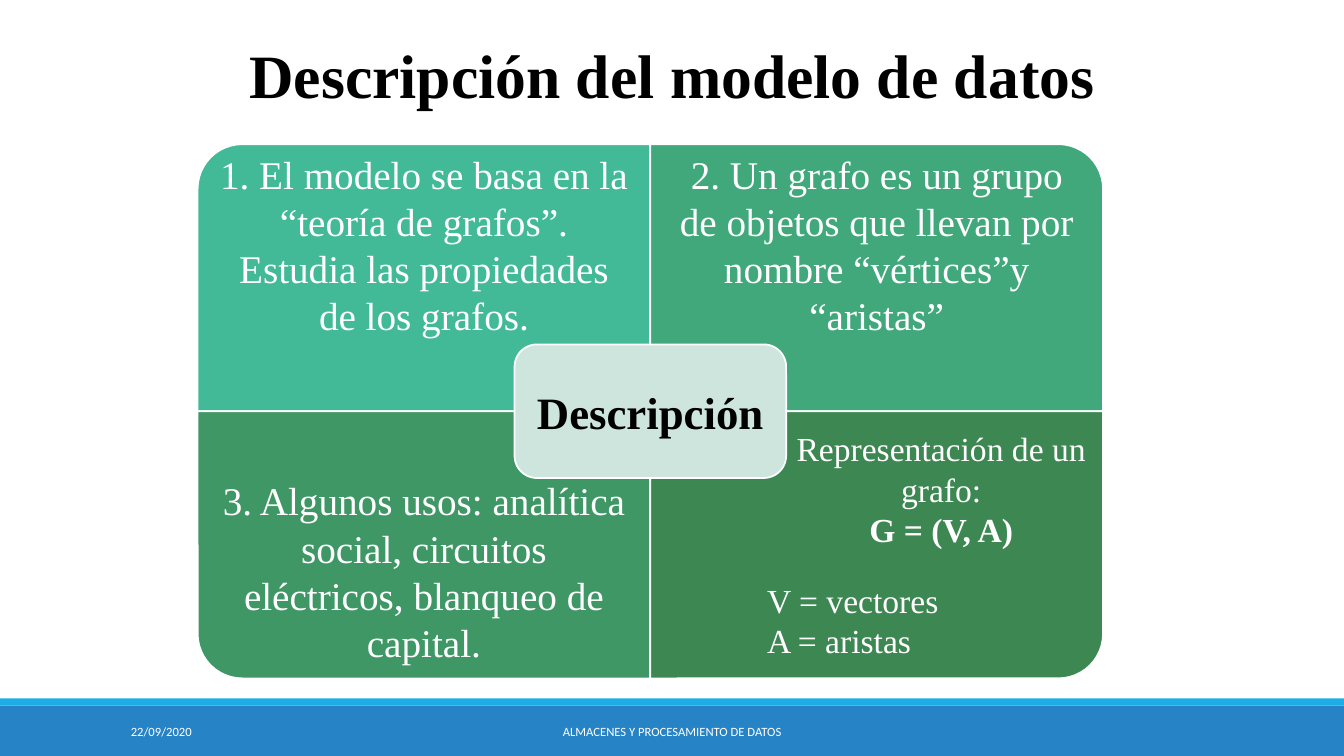
from pptx import Presentation
from pptx.dml.color import RGBColor
from pptx.enum.shapes import MSO_SHAPE as Preset
from pptx.enum.text import MSO_ANCHOR as Anchor, PP_ALIGN as Align
from pptx.util import Inches, Pt

WIDTH, HEIGHT = 13.33, 7.5
SERIF, SANS = "Times New Roman", "Calibri"
WHITE, BLACK = "FFFFFF", "000000"

# Matrix of two columns and two rows
LEFT, TOP = 1.96, 1.43
COLUMN, ROW = 4.49, 2.65
CENTER_X, CENTER_Y = LEFT + COLUMN, TOP + ROW
TEXT_HEIGHT = 0.75 * ROW
ROUNDING = 0.167

# Column, row, rotation, fill, top of the text, text
QUADRANTS = [
    (0, 0, 270, "42BA97", TOP,
     "1. El modelo se basa en la “teoría de grafos”. "
     "Estudia las propiedades de los grafos."),
    (1, 0, 0, "40A87B", TOP,
     "2. Un grafo es un grupo de objetos que llevan por nombre "
     "“vértices”y “aristas”"),
    (0, 1, 180, "3F9765", 4.67,
     "3. Algunos usos: analítica social, circuitos eléctricos, "
     "blanqueo de capital."),
    (1, 1, 90, "3D8752", None, None),
]


def color(value):
    return RGBColor.from_string(value)


def add_block(slide, preset, left, top, width, height, fill, line=None):
    shape = slide.shapes.add_shape(
        preset, Inches(left), Inches(top), Inches(width), Inches(height))
    shape.shadow.inherit = False
    shape.fill.solid()
    shape.fill.fore_color.rgb = color(fill)
    if line:
        shape.line.color.rgb = color(line)
        shape.line.width = Pt(1.25)
    else:
        shape.line.fill.background()
    return shape


def add_text(slide, left, top, width, height, text, size, font=SERIF,
             fill=WHITE, bold=False, align=Align.CENTER,
             anchor=Anchor.MIDDLE, inset=(0.1, 0.05)):
    box = slide.shapes.add_textbox(
        Inches(left), Inches(top), Inches(width), Inches(height))
    frame = box.text_frame
    frame.word_wrap = True
    frame.vertical_anchor = anchor
    frame.margin_left = frame.margin_right = Inches(inset[0])
    frame.margin_top = frame.margin_bottom = Inches(inset[1])
    frame.text = text
    for paragraph in frame.paragraphs:
        paragraph.alignment = align
        for run in paragraph.runs:
            run.font.name = font
            run.font.size = Pt(size)
            run.font.bold = bold
            run.font.color.rgb = color(fill)
    return frame.paragraphs


def add_quadrant(slide, column, row, rotation, fill, text_top, text):
    left, top = LEFT + column * COLUMN, TOP + row * ROW
    # A quarter turn swaps the sides around the same centre
    width, height = (ROW, COLUMN) if rotation % 180 else (COLUMN, ROW)
    shape = add_block(slide, Preset.ROUND_1_RECTANGLE,
                      left + (COLUMN - width) / 2, top + (ROW - height) / 2,
                      width, height, fill, WHITE)
    shape.adjustments[0] = ROUNDING
    shape.rotation = rotation
    if text:
        add_text(slide, left, text_top, COLUMN, TEXT_HEIGHT, text, 28,
                 inset=(0.22, 0.22))


def add_center_label(slide):
    width, height = 0.6 * COLUMN, ROW / 2
    left, top = CENTER_X - width / 2, CENTER_Y - height / 2
    label = add_block(slide, Preset.ROUNDED_RECTANGLE, left, top,
                      width, height, "CDE5DC", WHITE)
    label.adjustments[0] = ROUNDING
    add_text(slide, left + 0.06, top + 0.06, width - 0.12, height - 0.12,
             "Descripción", 32, fill=BLACK, bold=True, inset=(0.13, 0.13))


def add_graph_notation(slide):
    paragraphs = add_text(
        slide, 7.51, 4.2, 3.65, 2.83,
        "Representación de un grafo:\nG = (V, A)\nV = vectores\nA = aristas",
        24, anchor=Anchor.TOP)
    heading, formula, vertices, edges = paragraphs
    formula.runs[0].font.bold = True
    vertices.space_before = Pt(22)
    for paragraph in (vertices, edges):
        paragraph.alignment = Align.LEFT


def add_footer(slide):
    add_block(slide, Preset.RECTANGLE, 0, 7, WIDTH, 0.5, "2683C6")
    add_block(slide, Preset.RECTANGLE, 0, 6.93, WIDTH, 0.07, "1CADE4")
    add_text(slide, 1.2, 7.06, 2.7, 0.4, "22/09/2020", 9, SANS,
             align=Align.LEFT)
    add_text(slide, 4.03, 7.06, 5.27, 0.4,
             "ALMACENES Y PROCESAMIENTO DE DATOS", 9, SANS)


def main():
    presentation = Presentation()
    presentation.slide_width = Inches(WIDTH)
    presentation.slide_height = Inches(HEIGHT)
    slide = presentation.slides.add_slide(presentation.slide_layouts[6])

    add_footer(slide)

    # Title
    title = add_text(slide, 0.92, 0.4, 11.5, 1.45,
                     "Descripción del modelo de datos", 44, fill=BLACK,
                     bold=True, anchor=Anchor.TOP)
    title[0].line_spacing = 0.9

    # Matrix
    for quadrant in QUADRANTS:
        add_quadrant(slide, *quadrant)
    add_center_label(slide)
    add_graph_notation(slide)

    presentation.save("out.pptx")


if __name__ == "__main__":
    main()
